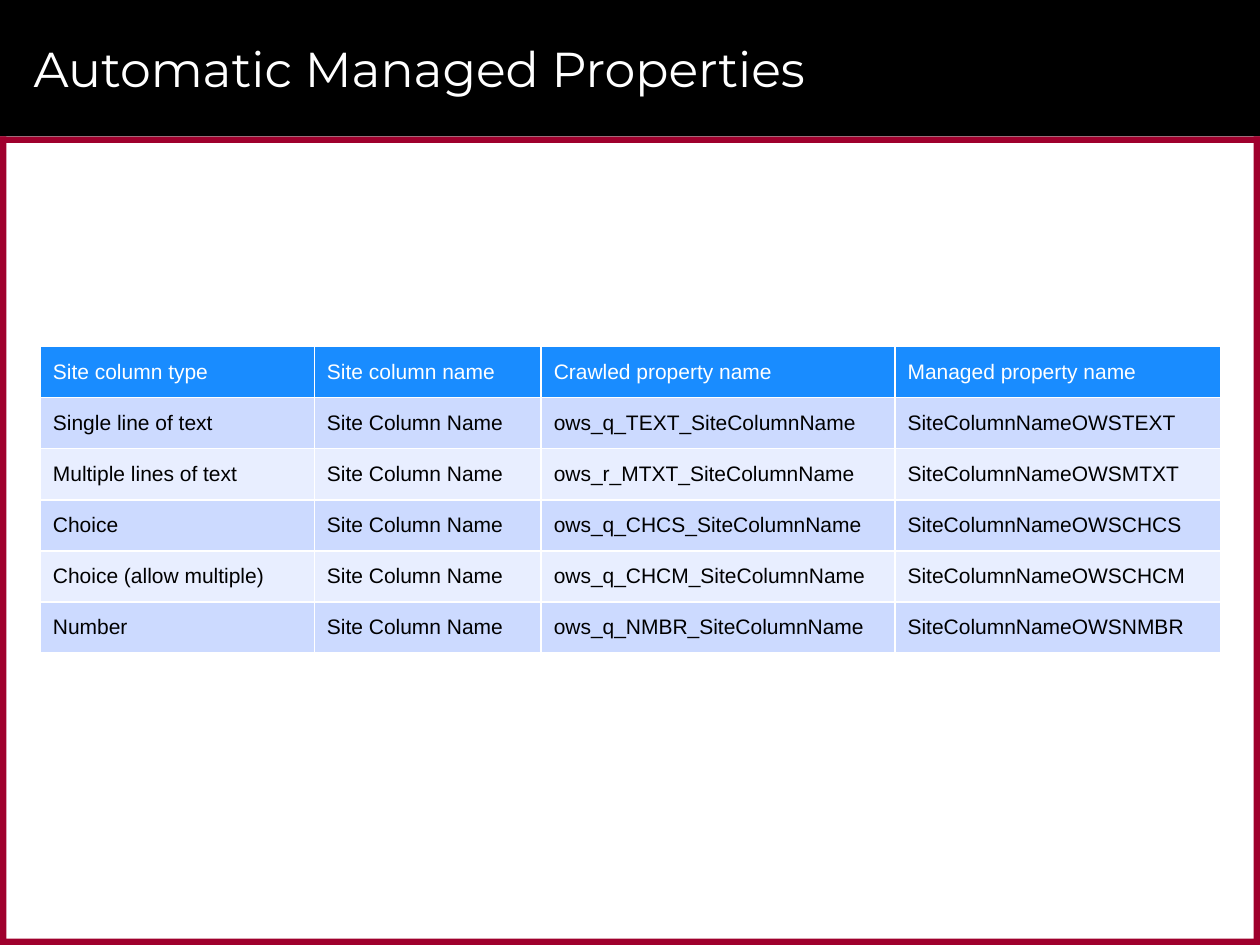
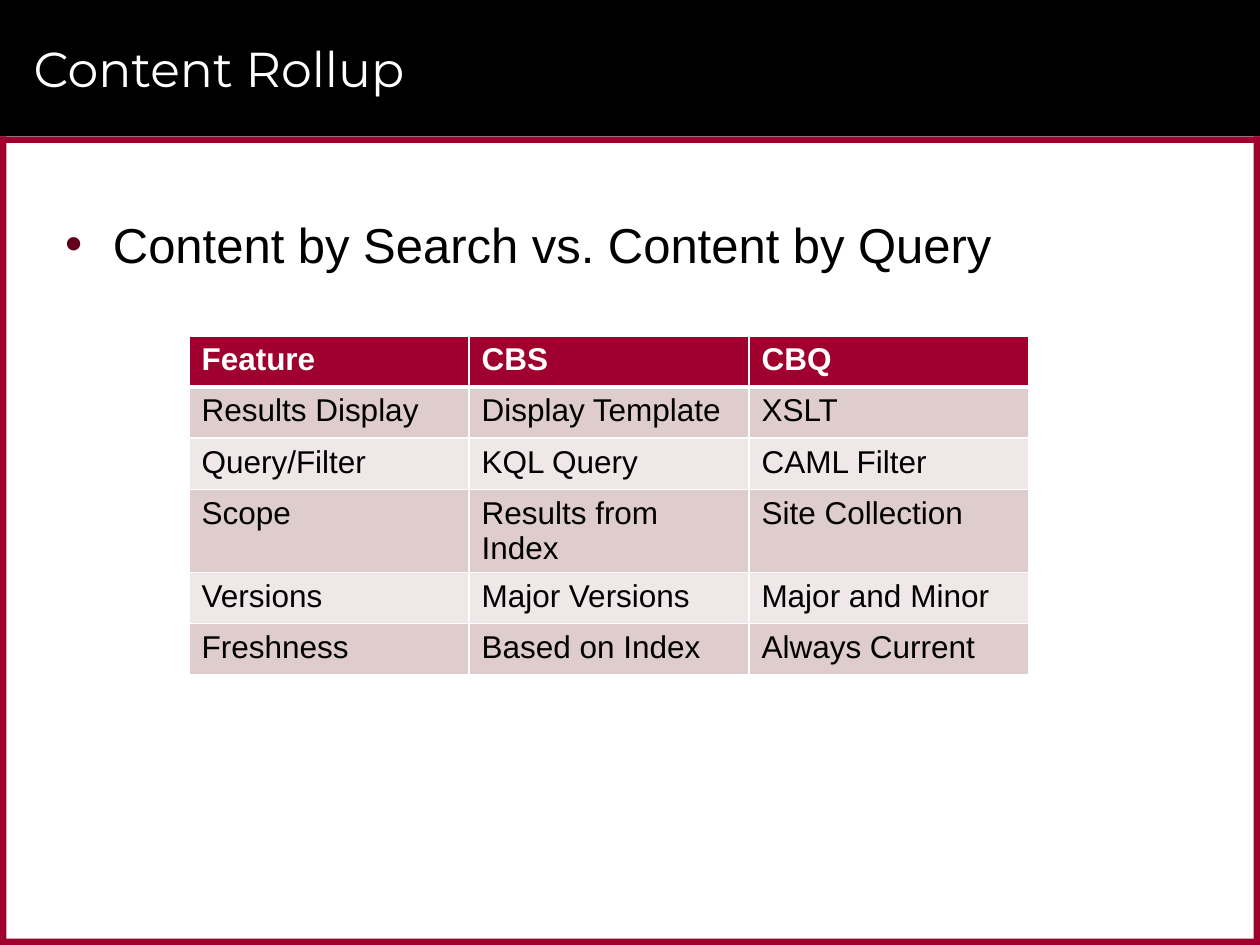
from collections import namedtuple

from lxml import etree
from pptx import Presentation
from pptx.dml.color import RGBColor
from pptx.enum.shapes import MSO_SHAPE
from pptx.enum.text import MSO_ANCHOR, PP_ALIGN
from pptx.oxml.ns import qn
from pptx.util import Inches, Pt

RECTANGLE = MSO_SHAPE.RECTANGLE
TOP, MIDDLE = MSO_ANCHOR.TOP, MSO_ANCHOR.MIDDLE
LEFT = PP_ALIGN.LEFT

# Grid: 120 columns by 90 rows of equal square units
COLUMNS, ROWS = 120, 90
UNIT = Inches(10) / COLUMNS
Box = namedtuple("Box", "left top width height")

BLACK, WHITE, CRIMSON, MAROON = "000000", "FFFFFF", "9F002D", "60001B"
BAND_ROWS = 13
EDGE = 0.6
TITLE_BOX = Box(2, 1, 113, 11)
BODY_BOX = Box(5, 19, 110, 68)
ROW_HEIGHT = 4.87

TITLE_FONT = {"name": "Montserrat", "size": Pt(28), "bold": False}
BODY_FONT = {"name": "Arial", "size": Pt(28), "bold": False}

BLUE_TABLE = {
    "header": "198CFF", "bands": ("CCDAFF", "E8EEFF"), "size": 12,
    "header_bold": False, "header_line": 1, "anchor": MIDDLE,
}
RED_TABLE = {
    "header": CRIMSON, "bands": ("DFCCCD", "F0E7E8"), "size": 18,
    "header_bold": True, "header_line": 3, "anchor": TOP,
}

PROPERTY_HEADINGS = ("Site column type", "Site column name",
                     "Crawled property name", "Managed property name")
# Column type, crawled prefix letter, type code
PROPERTY_TYPES = (
    ("Single line of text", "q", "TEXT"),
    ("Multiple lines of text", "r", "MTXT"),
    ("Choice", "q", "CHCS"),
    ("Choice (allow multiple)", "q", "CHCM"),
    ("Number", "q", "NMBR"),
)
ROLLUP_ROWS = (
    ("Feature", "CBS", "CBQ"),
    ("Results Display", "Display Template", "XSLT"),
    ("Query/Filter", "KQL Query", "CAML Filter"),
    ("Scope", "Results from Index", "Site Collection"),
    ("Versions", "Major Versions", "Major and Minor"),
    ("Freshness", "Based on Index", "Always Current"),
)


def color(hex_value):
    return RGBColor.from_string(hex_value)


def units(count):
    return round(count * UNIT)


def apply_format(target, values):
    for name, value in values.items():
        setattr(target, name, value)


def format_font(font, values, hex_value):
    apply_format(font, values)
    font.color.rgb = color(hex_value)


def place(shape, box):
    apply_format(shape, {name: units(value) for name, value in box._asdict().items()})


def add_frame(slide):
    """Black title band and crimson edges, set behind the title."""
    below = ROWS - BAND_ROWS
    parts = (
        (Box(0, 0, COLUMNS, BAND_ROWS), BLACK),
        (Box(0, BAND_ROWS, COLUMNS, EDGE), CRIMSON),
        (Box(0, ROWS - EDGE, COLUMNS, EDGE), CRIMSON),
        (Box(COLUMNS - EDGE, BAND_ROWS, EDGE, below), CRIMSON),
        (Box(0, BAND_ROWS, EDGE, below), CRIMSON),
    )
    for box, fill in parts:
        shape = slide.shapes.add_shape(RECTANGLE, *map(units, box))
        shape.shadow.inherit = False
        shape.fill.solid()
        shape.fill.fore_color.rgb = color(fill)
        shape.line.fill.background()
        slide.shapes.title.element.addprevious(shape.element)


def add_titled_slide(presentation, layout_index, title):
    slide = presentation.slides.add_slide(presentation.slide_layouts[layout_index])
    add_frame(slide)
    shape = slide.shapes.title
    place(shape, TITLE_BOX)
    shape.text_frame.text = title
    shape.text_frame.vertical_anchor = MIDDLE
    paragraph = shape.text_frame.paragraphs[0]
    paragraph.alignment = LEFT
    format_font(paragraph.font, TITLE_FONT, WHITE)
    return slide


def fill_body(shape, box, text):
    """Single bulleted line in the body placeholder."""
    place(shape, box)
    frame = shape.text_frame
    frame.text = text
    apply_format(frame, {"vertical_anchor": TOP, "margin_top": Inches(0.12)})
    paragraph = frame.paragraphs[0]
    apply_format(paragraph, {"space_before": Pt(0), "space_after": Pt(2)})
    properties = paragraph._p.get_or_add_pPr()
    indent = Inches(0.38)
    properties.set("marL", str(indent))
    properties.set("indent", str(-indent))
    bullet_color = etree.SubElement(properties, qn("a:buClr"))
    etree.SubElement(bullet_color, qn("a:srgbClr"), val=MAROON)
    etree.SubElement(properties, qn("a:buFont"), typeface="Arial")
    etree.SubElement(properties, qn("a:buChar"), char="•")
    format_font(paragraph.font, BODY_FONT, BLACK)


def add_borders(cell, top, bottom):
    properties = cell._tc.get_or_add_tcPr()
    for side, points in (("L", 1), ("R", 1), ("T", top), ("B", bottom)):
        line = etree.SubElement(properties, qn(f"a:ln{side}"), w=str(Pt(points)))
        fill = etree.SubElement(line, qn("a:solidFill"))
        etree.SubElement(fill, qn("a:srgbClr"), val=WHITE)


def add_banded_table(slide, left, top, column_widths, rows, style):
    """Table with a coloured header row and alternating body rows."""
    box = Box(left, top, sum(column_widths), ROW_HEIGHT * len(rows))
    table = slide.shapes.add_table(len(rows), len(column_widths), *map(units, box)).table
    for column, width in zip(table.columns, column_widths):
        column.width = units(width)
    for row_index, values in enumerate(rows):
        table.rows[row_index].height = units(ROW_HEIGHT)
        header = row_index == 0
        fill = style["header"] if header else style["bands"][(row_index - 1) % 2]
        top_line = style["header_line"] if row_index == 1 else 1
        bottom_line = style["header_line"] if header else 1
        font_values = {"name": "Arial", "size": Pt(style["size"]),
                       "bold": header and style["header_bold"]}
        for column_index, value in enumerate(values):
            cell = table.cell(row_index, column_index)
            cell.text = value
            cell.vertical_anchor = style["anchor"]
            add_borders(cell, top_line, bottom_line)
            cell.fill.solid()
            cell.fill.fore_color.rgb = color(fill)
            format_font(cell.text_frame.paragraphs[0].runs[0].font,
                        font_values, WHITE if header else BLACK)


def build_properties_slide(presentation):
    slide = add_titled_slide(presentation, 5, "Automatic Managed Properties")
    rows = [PROPERTY_HEADINGS]
    for column_type, letter, code in PROPERTY_TYPES:
        rows.append((column_type, "Site Column Name",
                     f"ows_{letter}_{code}_SiteColumnName", f"SiteColumnNameOWS{code}"))
    add_banded_table(slide, 3.84, 33, (26.1, 21.6, 33.7, 31), rows, BLUE_TABLE)


def build_rollup_slide(presentation):
    slide = add_titled_slide(presentation, 1, "Content Rollup")
    fill_body(slide.placeholders[1], BODY_BOX, "Content by Search vs. Content by Query")
    add_banded_table(slide, 18, 32, (80 / 3,) * 3, ROLLUP_ROWS, RED_TABLE)


def main():
    presentation = Presentation()
    presentation.slide_width = units(COLUMNS)
    presentation.slide_height = units(ROWS)
    build_properties_slide(presentation)
    build_rollup_slide(presentation)
    presentation.save("out.pptx")


if __name__ == "__main__":
    main()
